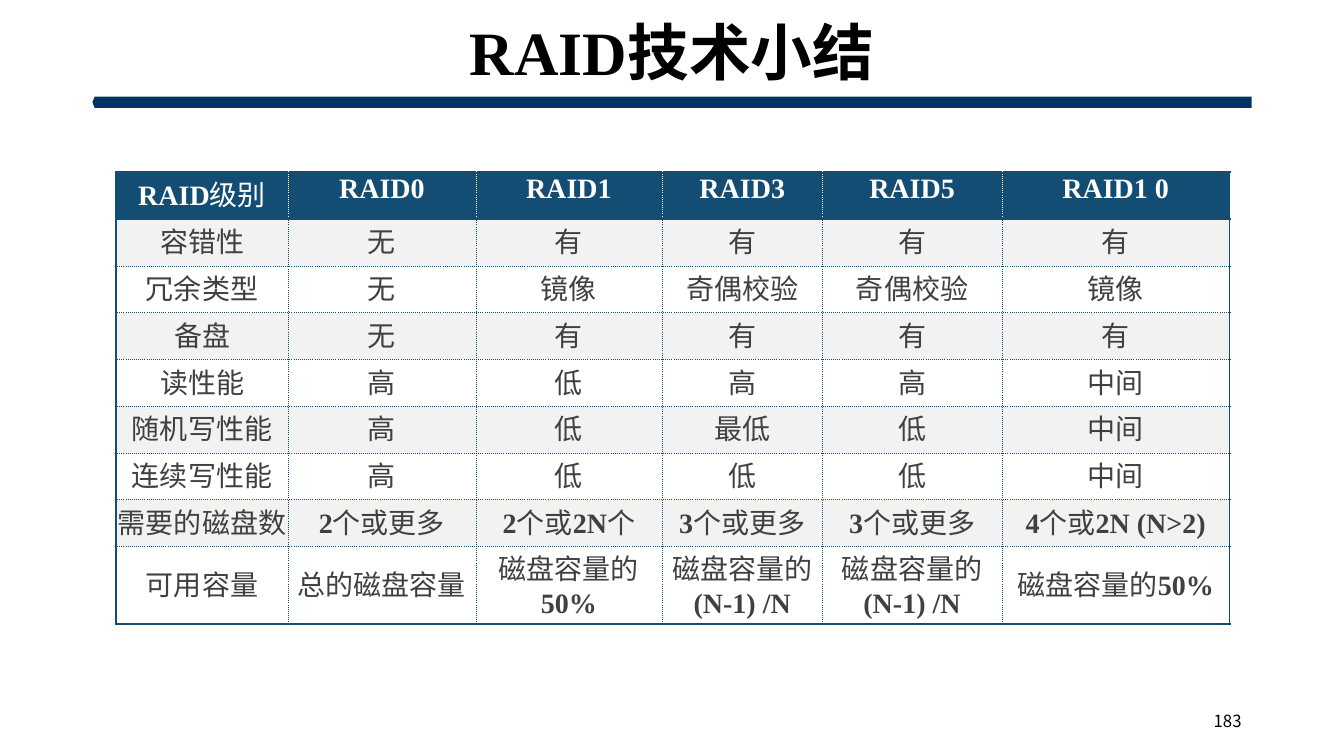
from dataclasses import dataclass
from itertools import groupby

from pptx import Presentation
from pptx.dml.color import RGBColor
from pptx.enum.shapes import MSO_SHAPE
from pptx.enum.text import MSO_ANCHOR, MSO_AUTO_SIZE, PP_ALIGN
from pptx.oxml.ns import qn
from pptx.util import Pt
from lxml.etree import SubElement


@dataclass(frozen=True)
class Theme:
    latin_font: str = "Times New Roman"
    chinese_font: str = "Noto Sans CJK SC"
    black: str = "000000"
    white: str = "FFFFFF"
    bar: str = "003366"
    header: str = "144D73"
    band: str = "F2F2F2"
    body: str = "404040"
    title_size: float = 44
    table_size: float = 20
    number_size: float = 12


@dataclass(frozen=True)
class Box:
    left: float
    top: float
    width: float
    height: float

    def lengths(self):
        return [Pt(value) for value in (self.left, self.top, self.width, self.height)]


THEME = Theme()
COLUMN_WIDTHS = [123.1, 133.9, 133.2, 114.5, 128.2, 162.7]
ROW_HEIGHT = 30.3
LAST_ROW_HEIGHT = 49
RAID_LEVELS = [
    ["RAID级别", "RAID0", "RAID1", "RAID3", "RAID5", "RAID1 0"],
    ["容错性", "无", "有", "有", "有", "有"],
    ["冗余类型", "无", "镜像", "奇偶校验", "奇偶校验", "镜像"],
    ["备盘", "无", "有", "有", "有", "有"],
    ["读性能", "高", "低", "高", "高", "中间"],
    ["随机写性能", "高", "低", "最低", "低", "中间"],
    ["连续写性能", "高", "低", "低", "低", "中间"],
    ["需要的磁盘数", "2个或更多", "2个或2N个", "3个或更多", "3个或更多", "4个或2N (N>2)"],
    ["可用容量", "总的磁盘容量", "磁盘容量的50%", "磁盘容量的(N-1) /N",
     "磁盘容量的(N-1) /N", "磁盘容量的50%"],
]


def add_run(paragraph, text, size, color, bold=False, latin_font=THEME.latin_font):
    run = paragraph.add_run()
    run.text = text
    run.font.size = Pt(size)
    run.font.bold = bold
    run.font.color.rgb = RGBColor.from_string(color)
    run.font.name = latin_font
    east_asian = SubElement(run.font._element, qn("a:ea"))
    east_asian.set("typeface", THEME.chinese_font)


def add_title(slide, box):
    """Place the title over the bar that runs along the bottom of the box."""
    bar_height = 8
    title = slide.shapes.title
    title.left, title.top, title.width, title.height = Box(
        box.left, box.top, box.width, box.height - bar_height).lengths()
    frame = title.text_frame
    frame.auto_size = MSO_AUTO_SIZE.NONE
    frame.vertical_anchor = MSO_ANCHOR.MIDDLE
    paragraph = frame.paragraphs[0]
    paragraph.alignment = PP_ALIGN.CENTER
    paragraph.line_spacing = 0.9
    add_run(paragraph, "RAID技术小结", THEME.title_size, THEME.black, bold=True)

    bar = slide.shapes.add_shape(MSO_SHAPE.PENTAGON, *Box(
        box.left, box.top + box.height - bar_height, box.width, bar_height).lengths())
    bar.adjustments[0] = 0.2
    bar.rotation = 180
    bar.shadow.inherit = False
    bar.fill.solid()
    bar.fill.fore_color.rgb = RGBColor.from_string(THEME.bar)
    bar.line.fill.background()


def add_border(cell, side, color, is_solid):
    line = SubElement(cell._tc.get_or_add_tcPr(), qn(f"a:ln{side}"))
    line.set("w", str(Pt(1.5 if is_solid else 0.25)))
    fill = SubElement(line, qn("a:solidFill"))
    SubElement(fill, qn("a:srgbClr")).set("val", color)
    SubElement(line, qn("a:prstDash")).set("val", "solid" if is_solid else "dot")


def format_borders(cell, row, column):
    """Draw solid lines around the table and under its header, dotted ones elsewhere."""
    solid_sides = {
        "L": column == 0,
        "R": column == len(COLUMN_WIDTHS) - 1,
        "T": row <= 1,
        "B": row in (0, len(RAID_LEVELS) - 1),
    }
    for side, is_solid in solid_sides.items():
        color = THEME.white if row == 0 and not is_solid else THEME.header
        add_border(cell, side, color, is_solid)


def fill_cell(cell, text, row):
    """Write the text with its Latin parts in bold."""
    if row == 0:
        background, color, anchor = THEME.header, THEME.white, MSO_ANCHOR.TOP
    else:
        background = THEME.band if row % 2 else THEME.white
        color = THEME.body
        is_last = row == len(RAID_LEVELS) - 1
        anchor = MSO_ANCHOR.MIDDLE if is_last else MSO_ANCHOR.BOTTOM
    cell.fill.solid()
    cell.fill.fore_color.rgb = RGBColor.from_string(background)
    cell.vertical_anchor = anchor
    cell.margin_left = cell.margin_right = cell.margin_top = Pt(0.75)
    cell.margin_bottom = Pt(3.6)
    paragraph = cell.text_frame.paragraphs[0]
    paragraph.alignment = PP_ALIGN.CENTER
    for is_latin, characters in groupby(text, str.isascii):
        add_run(paragraph, "".join(characters), THEME.table_size, color, bold=is_latin)


def add_comparison_table(slide, box):
    table = slide.shapes.add_table(
        len(RAID_LEVELS), len(COLUMN_WIDTHS), *box.lengths()).table
    table.horz_banding = False
    for column, width in zip(table.columns, COLUMN_WIDTHS):
        column.width = Pt(width)
    for row in table.rows:
        row.height = Pt(ROW_HEIGHT)
    table.rows[len(RAID_LEVELS) - 1].height = Pt(LAST_ROW_HEIGHT)
    for row, texts in enumerate(RAID_LEVELS):
        for column, text in enumerate(texts):
            cell = table.cell(row, column)
            format_borders(cell, row, column)
            fill_cell(cell, text, row)


def add_page_number(slide, box):
    frame = slide.shapes.add_textbox(*box.lengths()).text_frame
    frame.word_wrap = True
    frame.vertical_anchor = MSO_ANCHOR.MIDDLE
    paragraph = frame.paragraphs[0]
    paragraph.alignment = PP_ALIGN.RIGHT
    add_run(paragraph, "183", THEME.number_size, THEME.black,
            latin_font=THEME.chinese_font)


def main():
    presentation = Presentation()
    presentation.slide_width = Pt(960)
    presentation.slide_height = Pt(540)
    slide = presentation.slides.add_slide(presentation.slide_layouts[5])
    add_title(slide, Box(66, 10, 828, 67))
    table_height = ROW_HEIGHT * (len(RAID_LEVELS) - 1) + LAST_ROW_HEIGHT
    add_comparison_table(slide, Box(82.8, 123.1, sum(COLUMN_WIDTHS), table_height))
    add_page_number(slide, Box(678, 500.5, 216, 28.75))
    presentation.save("out.pptx")


if __name__ == "__main__":
    main()
